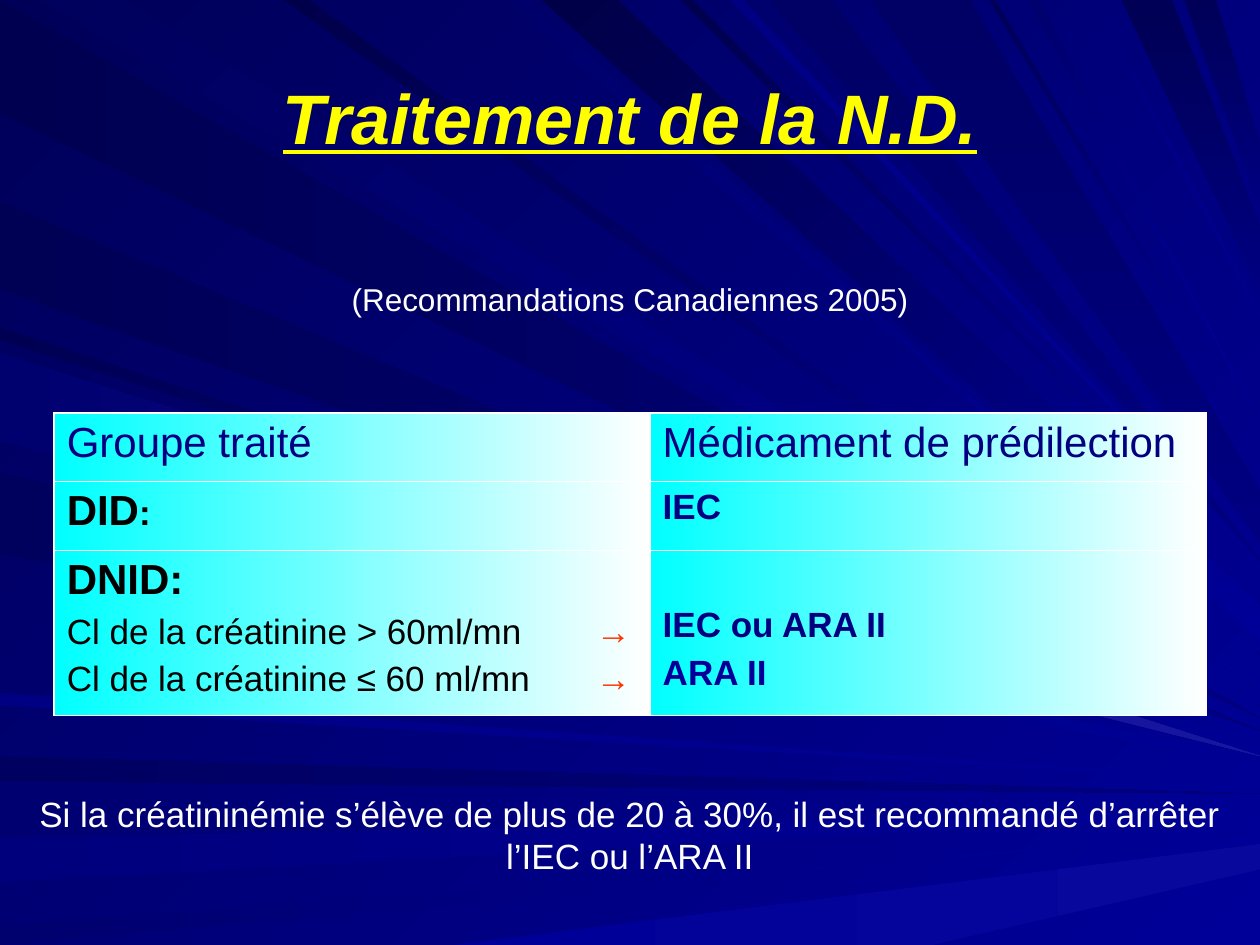
from typing import NamedTuple

from lxml import etree
from pptx import Presentation
from pptx.dml.color import RGBColor
from pptx.enum.text import MSO_ANCHOR as Anchor, PP_ALIGN as Align
from pptx.oxml.ns import qn
from pptx.util import Inches, Pt

WIDTH, HEIGHT = 10, 7.5
NAVY, BLUE, BLACK, WHITE, RED = "000080", "000099", "000000", "FFFFFF", "FF3300"
ARROW_TAB = 4.2
BOLD = {"bold": True}


class Ray(NamedTuple):
    """A beam from the span low-high of one edge to a height on the right edge."""
    edge: str
    low: float
    high: float
    target: float
    start: str
    end: str = BLUE
    spread: float = 0


class Run(NamedTuple):
    text: str
    size: float
    color: str
    style: dict = {}


class Para(NamedTuple):
    runs: list
    before: float = 0


class Cell(NamedTuple):
    paras: list
    top: float = 0.05


RAYS = [
    Ray("left", 0, 0.9, 5.7, "000051", NAVY),
    Ray("top", 0.3, 1, 5.6, "00005D"),
    Ray("left", 6, 6.2, 6.3, "000061", NAVY),
    Ray("left", 6.65, 7, 6.45, "00007D"),
    Ray("left", 7.35, 7.5, 6.6, "00006F"),
    Ray("bottom", 3.6, 7.4, 6.7, BLUE, "08089C", 0.2),
    Ray("left", 2.6, 2.7, 5.9, "000053"),
    Ray("left", 1.6, 2.3, 5.8, "000055", NAVY),
    Ray("top", 4, 4.2, 5.2, "00006B"),
    Ray("top", 4.3, 4.9, 4.8, "000047", spread=0.3),
    Ray("top", 5.4, 5.5, 4.6, "00004F"),
    Ray("top", 6.1, 6.6, 4.45, "000065", NAVY),
    Ray("top", 8.9, 9.3, 1.8, "000055", NAVY, 0.5),
    Ray("top", 9.4, 9.65, 1.15, "000059", NAVY, 0.5),
    Ray("left", 2.8, 3.4, 6, "000061"),
    Ray("left", 3.75, 4.4, 6.05, "00005D"),
    Ray("left", 5.5, 5.6, 6.2, "000082"),
    Ray("top", 2.25, 2.45, 5.5, "00004A"),
    Ray("top", 5.8, 5.9, 4.5, "000082"),
    Ray("top", 6.9, 7.7, 3.9, "000065", NAVY, 0.4),
    Ray("top", 7.85, 7.9, 3.55, "000058"),
    Ray("top", 8.15, 8.25, 3.35, "00006F"),
    Ray("top", 8.65, 8.7, 2.5, "000079"),
    Ray("left", 2.8, 3.5, 6, "00006F", "1717A2"),
]

COLUMNS = [4.73, 4.41]
ROWS = [0.54, 0.55, 1.31]
CELLS = [
    [Cell([Para([Run("Groupe traité", 24, NAVY)])]),
     Cell([Para([Run("Médicament de prédilection", 24, NAVY)])])],
    [Cell([Para([Run("DID", 24, BLACK, BOLD), Run(":", 20, BLACK, BOLD)])]),
     Cell([Para([Run("IEC", 20, NAVY, BOLD)])])],
    [Cell([Para([Run("DNID:", 24, BLACK, BOLD)]),
           Para([Run("Cl de la créatinine > 60ml/mn\t", 20, BLACK), Run("→", 20, RED)], 5),
           Para([Run("Cl de la créatinine ≤ 60 ml/mn\t", 20, BLACK), Run("→", 20, RED)], 5)]),
     Cell([Para([Run("IEC ou ARA II", 20, NAVY, BOLD)]),
           Para([Run("ARA II", 20, BLUE, BOLD)], 5)], top=0.44)],
]


def rgb(color: str) -> RGBColor:
    return RGBColor.from_string(color)


def paint(fill, start: str, end: str, angle: int = 0) -> None:
    """Fill with a gradient whose angle runs clockwise."""
    fill.gradient()
    fill.gradient_angle = -angle % 360
    for stop, color in zip(fill.gradient_stops, (start, end)):
        stop.color.rgb = rgb(color)


def add_ray(s, ray: Ray) -> None:
    span = (ray.low, ray.high)
    if ray.edge == "left":
        source = [(0, y) for y in span]
    else:
        source = [(x, 0 if ray.edge == "top" else HEIGHT) for x in span]
    ends = [(WIDTH, ray.target + ray.spread), (WIDTH, ray.target)]
    if ray.edge == "top":
        ends.reverse()
    first, *rest = [(Inches(x), Inches(y)) for x, y in source + ends]
    builder = s.shapes.build_freeform(*first)
    builder.add_line_segments(rest, close=True)
    sp = builder.convert_to_shape()
    sp.shadow.inherit = False
    sp.line.fill.background()
    angle = 0 if ray.edge != "top" else 90 if ray.end == NAVY else 45
    paint(sp.fill, ray.start, ray.end, angle)


def write(tf, paras: list, align: Align = Align.LEFT) -> None:
    for i, para in enumerate(paras):
        p = tf.paragraphs[0] if i == 0 else tf.add_paragraph()
        p.alignment = align
        p.space_before = Pt(para.before)
        if any("\t" in run.text for run in para.runs):
            tabs = etree.SubElement(p._p.get_or_add_pPr(), qn("a:tabLst"))
            etree.SubElement(tabs, qn("a:tab"), pos=str(Inches(ARROW_TAB)), algn="l")
        for run in para.runs:
            r = p.add_run()
            r.text = run.text
            r.font.color.rgb = rgb(run.color)
            for name, value in {"name": "Arial", "size": Pt(run.size), **run.style}.items():
                setattr(r.font, name, value)


def add_text(s, box: tuple, run: Run, anchor: Anchor = Anchor.MIDDLE) -> None:
    tf = s.shapes.add_textbox(*map(Inches, box)).text_frame
    tf.word_wrap = True
    tf.vertical_anchor = anchor
    write(tf, [Para([run])], Align.CENTER)


def add_borders(cell, widths: dict) -> None:
    """Put white lines before the fill, as the cell schema requires."""
    tcPr = cell._tc.get_or_add_tcPr()
    for i, (side, width) in enumerate(widths.items()):
        ln = etree.Element(qn(f"a:ln{side}"), w=str(Pt(width)))
        fill = etree.SubElement(ln, qn("a:solidFill"))
        etree.SubElement(fill, qn("a:srgbClr"), val=WHITE)
        tcPr.insert(i, ln)


def add_treatment_table(s) -> None:
    box = (0.43, 3.28, sum(COLUMNS), sum(ROWS))
    table = s.shapes.add_table(len(ROWS), len(COLUMNS), *map(Inches, box)).table
    table.first_row = table.horz_banding = False
    for column, width in zip(table.columns, COLUMNS):
        column.width = Inches(width)
    for i, (row, height) in enumerate(zip(table.rows, ROWS)):
        row.height = Inches(height)
        for j, content in enumerate(CELLS[i]):
            cell = table.cell(i, j)
            cell.margin_top = Inches(content.top)
            paint(cell.fill, "00FFFF", WHITE)
            outer = {"L": j == 0, "R": j == len(COLUMNS) - 1, "T": i == 0, "B": i == len(ROWS) - 1}
            add_borders(cell, {side: 1.08 if edge else 0.45 for side, edge in outer.items()})
            write(cell.text_frame, content.paras)


def main() -> None:
    prs = Presentation()
    prs.slide_width, prs.slide_height = Inches(WIDTH), Inches(HEIGHT)
    s = prs.slides.add_slide(prs.slide_layouts[6])
    paint(s.background.fill, "000058", BLUE, 45)
    for ray in RAYS:
        add_ray(s, ray)
    add_text(s, (0.5, 0.3, 9, 1.25), Run("Traitement de la N.D.", 40, "FFFF00",
                                        {"bold": True, "italic": True, "underline": True}))
    add_text(s, (0, 2.17, 10, 0.43), Run("(Recommandations Canadiennes 2005)", 18, WHITE), Anchor.TOP)
    add_treatment_table(s)
    add_text(s, (0, 6.24, 10, 0.77), Run("Si la créatininémie s’élève de plus de 20 à 30%, il est recommandé "
                                         "d’arrêter l’IEC ou l’ARA II", 20, WHITE))
    prs.save("out.pptx")


if __name__ == "__main__":
    main()
